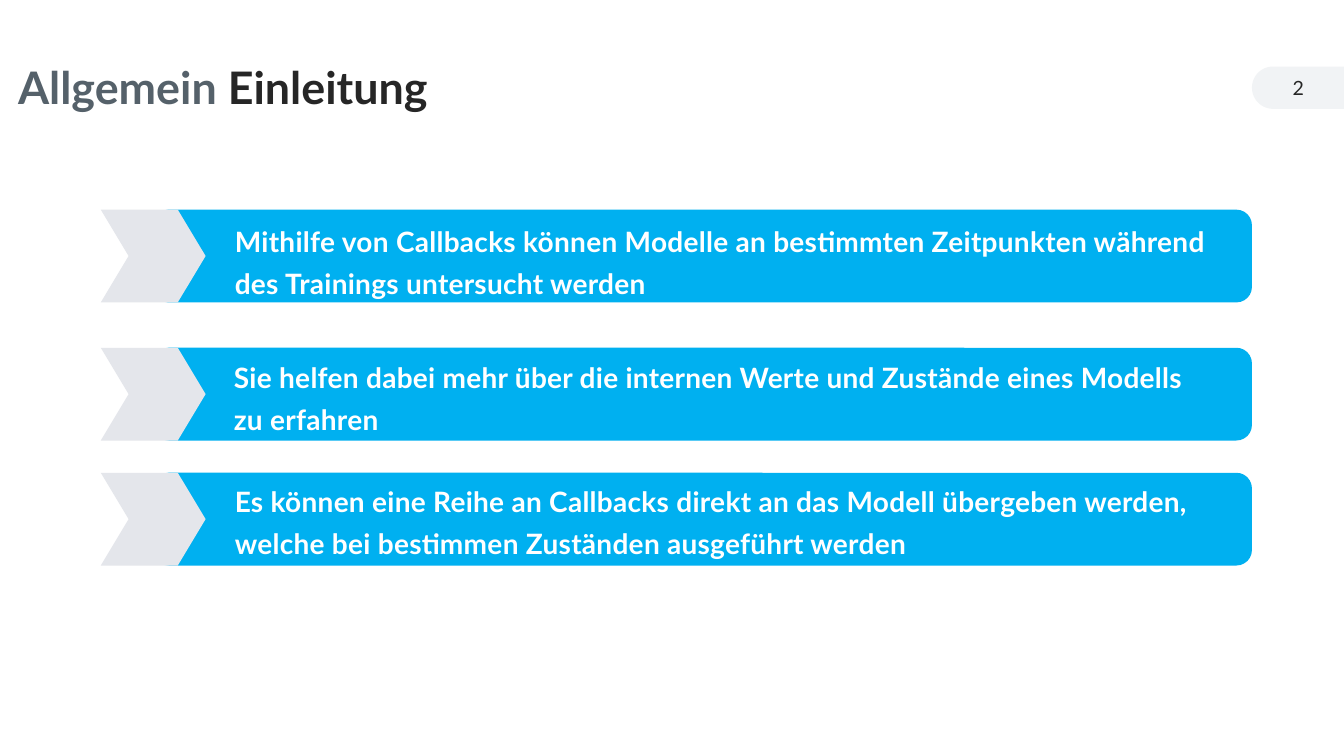
import math
from dataclasses import dataclass

import pptx
import pptx.dml.color
import pptx.enum.shapes
import pptx.enum.text
import pptx.util

CELL = pptx.util.Inches(0.1)
COLUMNS, ROWS = 133.33, 75
FONT = "Lato"
COLORS = {
    "bar": "00B0F0",
    "chevron": "E4E6EB",
    "tab": "F1F3F5",
    "slate": "55616A",
    "ink": "262626",
    "white": "FFFFFF",
}
SHAPES = pptx.enum.shapes.MSO_SHAPE
ANCHOR = pptx.enum.text.MSO_ANCHOR
ALIGN = pptx.enum.text.PP_ALIGN
AUTO_SIZE = pptx.enum.text.MSO_AUTO_SIZE


@dataclass(frozen=True)
class Box:
    column: float
    row: float
    columns: float
    rows: float

    def lengths(self) -> list[int]:
        return [cells(value) for value in (self.column, self.row, self.columns, self.rows)]


@dataclass(frozen=True)
class Banner:
    row: float
    text_box: Box
    anchor: ANCHOR
    text: str


TITLE_BOX = Box(1.8, 4.5, 86.5, 8.8)
TAB_BOX = Box(124.2, 6.6, 9.2, 4.2)
BANNER_ROWS = 9.2
BANNERS = [
    Banner(20.8, Box(23.3, 21.1, 98.6, 9), ANCHOR.MIDDLE,
           "Mithilfe von Callbacks können Modelle an bestimmten Zeitpunkten während "
           "des Trainings untersucht werden"),
    Banner(34.5, Box(23.2, 34.4, 95.9, 9.4), ANCHOR.TOP,
           "Sie helfen dabei mehr über die internen Werte und Zustände eines Modells "
           "zu erfahren"),
    Banner(46.9, Box(23.3, 46.9, 98.6, 9), ANCHOR.MIDDLE,
           "Es können eine Reihe an Callbacks direkt an das Modell übergeben werden, "
           "welche bei bestimmen Zuständen ausgeführt werden"),
]


def cells(count: float) -> int:
    return round(count * CELL)


def rgb(name: str) -> pptx.dml.color.RGBColor:
    return pptx.dml.color.RGBColor.from_string(COLORS[name])


def paint(shape, color: str) -> None:
    shape.shadow.inherit = False
    shape.fill.solid()
    shape.fill.fore_color.rgb = rgb(color)
    shape.line.fill.background()


def prepare_text(frame, anchor: ANCHOR, auto_size: AUTO_SIZE) -> None:
    frame.word_wrap = True
    frame.auto_size = auto_size
    frame.vertical_anchor = anchor
    frame.margin_left = frame.margin_right = 0
    frame.margin_top = frame.margin_bottom = pptx.util.Inches(0.05)


def add_run(paragraph, text: str, size: float, color: str, bold: bool):
    run = paragraph.add_run()
    run.text = text
    run.font.name = FONT
    run.font.size = pptx.util.Pt(size)
    run.font.bold = bold
    run.font.color.rgb = rgb(color)
    return run


def add_number_tab(slide, box: Box, number: str) -> None:
    left, top, width, height = box.lengths()
    radius = height / 2
    arc = [
        (round(left + radius - radius * math.sin(math.radians(angle))),
         round(top + radius + radius * math.cos(math.radians(angle))))
        for angle in range(0, 181, 5)
    ]
    builder = slide.shapes.build_freeform(left + width, top)
    builder.add_line_segments([(left + width, top + height), *arc], close=True)
    tab = builder.convert_to_shape()
    paint(tab, "tab")
    prepare_text(tab.text_frame, ANCHOR.MIDDLE, AUTO_SIZE.NONE)
    paragraph = tab.text_frame.paragraphs[0]
    paragraph.alignment = ALIGN.CENTER
    add_run(paragraph, number, 14, "ink", False)


def fill_title(slide) -> None:
    title = slide.shapes.title
    title.left, title.top, title.width, title.height = TITLE_BOX.lengths()
    prepare_text(title.text_frame, ANCHOR.MIDDLE, AUTO_SIZE.NONE)
    paragraph = title.text_frame.paragraphs[0]
    paragraph.alignment = ALIGN.LEFT
    paragraph.line_spacing = 0.9
    add_run(paragraph, "Allgemein ", 32, "slate", True)
    add_run(paragraph, "Einleitung", 32, "ink", True)


def add_banner(slide, banner: Banner) -> None:
    group = slide.shapes.add_group_shape()
    bar_box = Box(15.2, banner.row, 109, BANNER_ROWS)
    bar = group.shapes.add_shape(SHAPES.ROUNDED_RECTANGLE, *bar_box.lengths())
    paint(bar, "bar")
    chevron_box = Box(10, banner.row, 10.4, BANNER_ROWS)
    chevron = group.shapes.add_shape(SHAPES.CHEVRON, *chevron_box.lengths())
    chevron.adjustments[0] = 0.3
    paint(chevron, "chevron")
    frame = group.shapes.add_textbox(*banner.text_box.lengths()).text_frame
    prepare_text(frame, banner.anchor, AUTO_SIZE.SHAPE_TO_FIT_TEXT)
    paragraph = frame.paragraphs[0]
    paragraph.line_spacing = 1.25
    run = add_run(paragraph, banner.text, 20, "white", True)
    run.font._element.set("spc", "20")


def main() -> None:
    presentation = pptx.Presentation()
    presentation.slide_width = cells(COLUMNS)
    presentation.slide_height = cells(ROWS)
    slide = presentation.slides.add_slide(presentation.slide_layouts.get_by_name("Title Only"))
    fill_title(slide)
    add_number_tab(slide, TAB_BOX, "2")
    for banner in BANNERS:
        add_banner(slide, banner)
    presentation.save("out.pptx")


if __name__ == "__main__":
    main()
